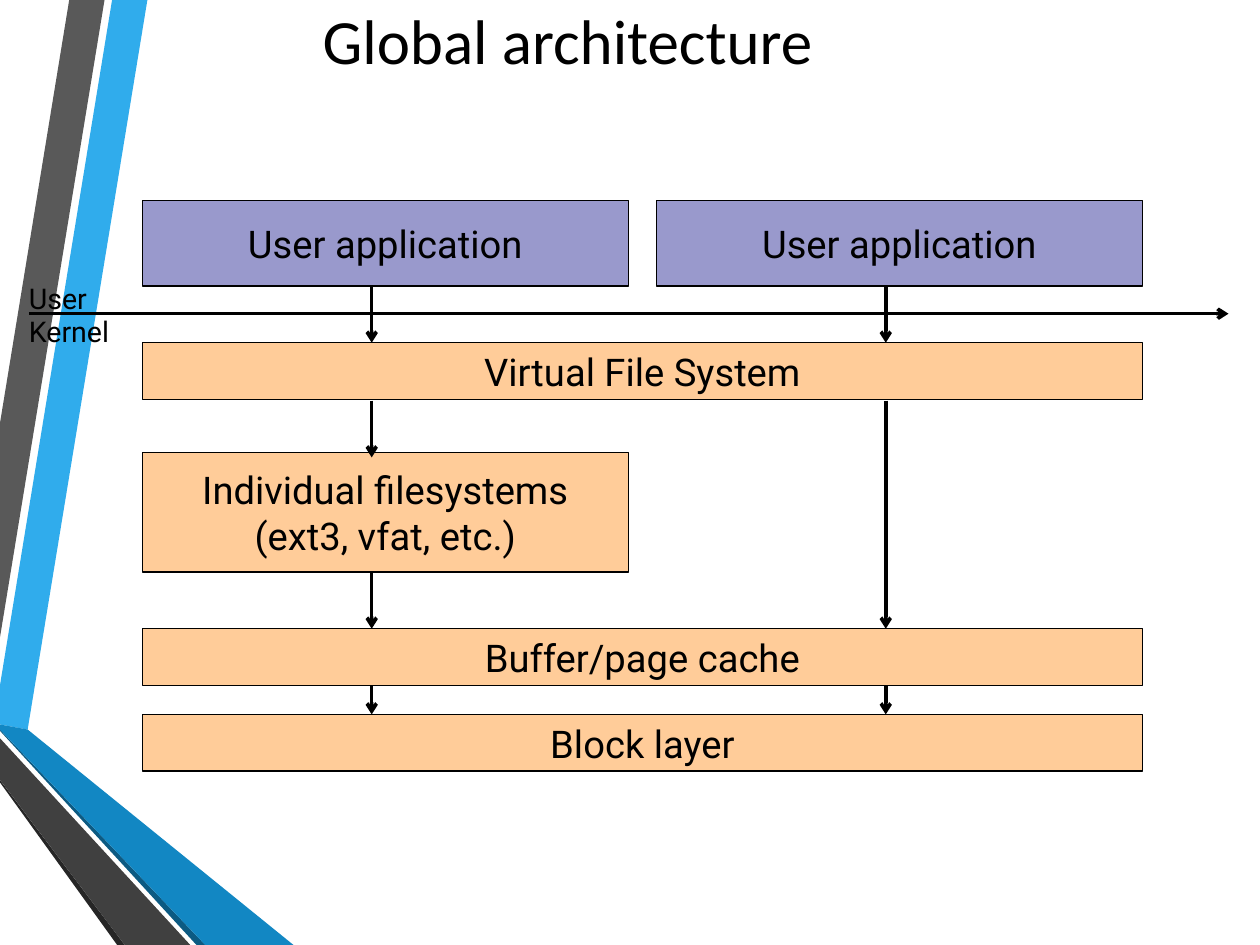
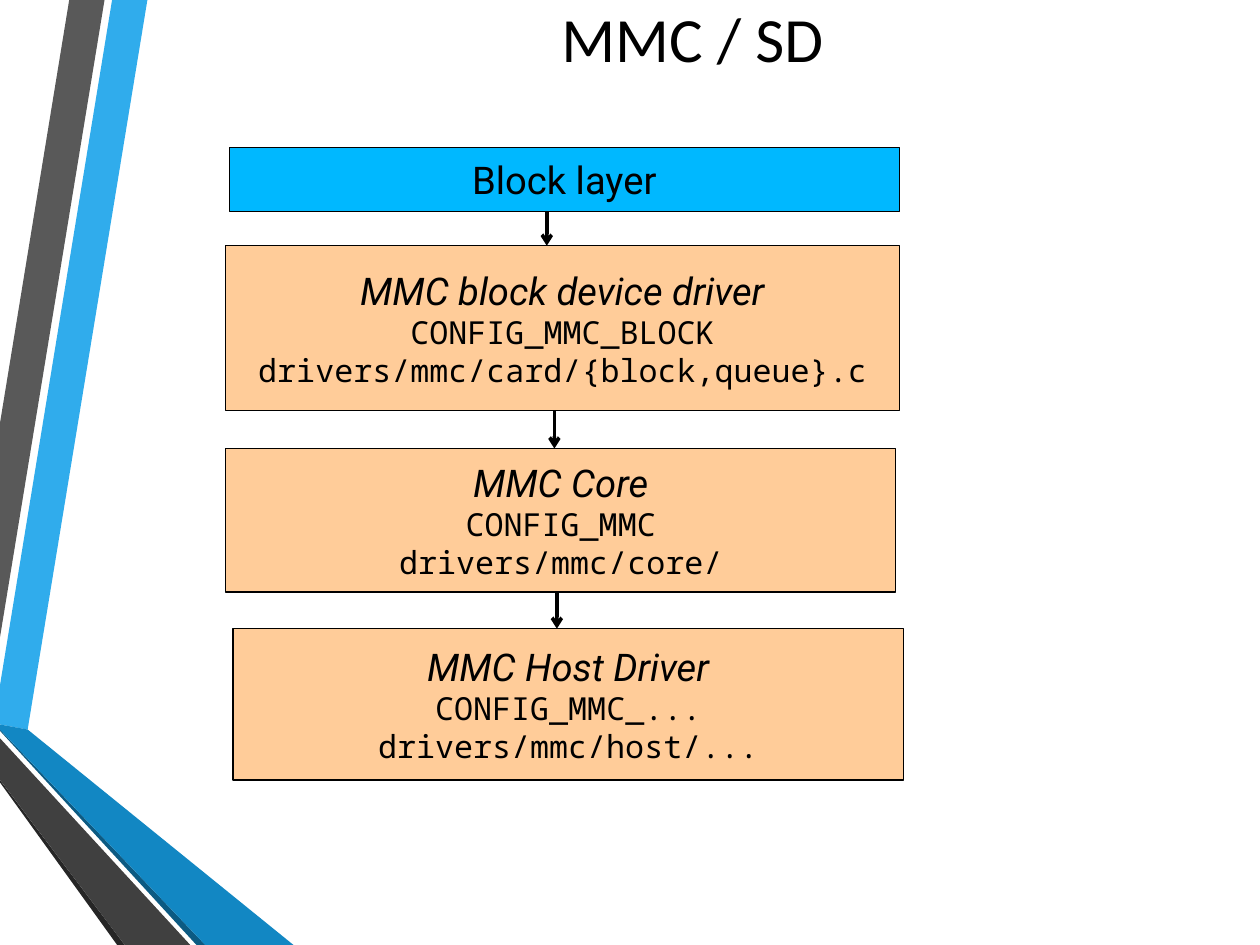
import pptx
import pptx.util
import pptx.dml.color
import pptx.enum.shapes
import pptx.enum.text
import pptx.oxml
import pptx.oxml.ns
from pptx.util import Inches

COLOURS = {
    "text": "000000", "line": "000000", "kernel": "FFCC99", "user": "9999CC", "block": "00B8FF",
    "sky": "30ACEC", "grey": "595959", "black": "262626",
    "navy": "0C5A82", "blue": "1287C3", "charcoal": "404040",
}
BANDS = [
    ("sky", [(0, 5.44), (0, 5.75), (0.22, 5.79), (1.17, 0), (0.89, 0)]),
    ("grey", [(0.83, 0), (0.55, 0), (0, 3.36), (0, 5.06)]),
    ("black", [(0, 6.19), (0, 6.21), (0.93, 7.5), (0.99, 7.5)]),
    ("navy", [(0, 5.79), (0, 5.8), (1.56, 7.5), (1.63, 7.5)]),
    ("blue", [(0, 5.79), (1.63, 7.5), (2.33, 7.5), (0.22, 5.79), (0, 5.75)]),
    ("charcoal", [(0, 6.19), (0.99, 7.5), (1.51, 7.5), (0, 5.86)]),
]
ALIGN = pptx.enum.text.PP_ALIGN
ANCHOR = pptx.enum.text.MSO_ANCHOR
LABEL = {"font": "Roboto", "size": 21.8}
CODE = {"font": "Noto Sans Mono", "size": 18.1}


def rgb(name):
    return pptx.dml.color.RGBColor.from_string(COLOURS[name])


def write(frame, text, font="Roboto", size=21.8, italic=False, align=ALIGN.CENTER):
    para = frame.paragraphs[0]
    if para.runs:
        para = frame.add_paragraph()
    para.alignment = align
    span = para.add_run()
    span.text = text
    span.font.name = font
    span.font.size = pptx.util.Pt(size)
    span.font.italic = italic
    span.font.color.rgb = rgb("text")


def clear_margins(frame):
    frame.margin_left = frame.margin_top = frame.margin_right = frame.margin_bottom = 0
    frame.word_wrap = True


def hairline(line):
    line.color.rgb = rgb("line")
    line.width = 0


def add_block(page, box, colour, lines):
    block = page.shapes.add_shape(
        pptx.enum.shapes.MSO_SHAPE.RECTANGLE, *map(Inches, box))
    block.shadow.inherit = False
    block.fill.solid()
    block.fill.fore_color.rgb = rgb(colour)
    hairline(block.line)
    frame = block.text_frame
    clear_margins(frame)
    frame.vertical_anchor = ANCHOR.MIDDLE
    for text, style in lines:
        write(frame, text, **style)


def add_arrow(page, start, end):
    arrow = page.shapes.add_connector(
        pptx.enum.shapes.MSO_CONNECTOR.STRAIGHT, *map(Inches, start + end))
    hairline(arrow.line)
    space = pptx.oxml.ns.nsdecls("a")
    arrow.line._get_or_add_ln().append(
        pptx.oxml.parse_xml(f'<a:tailEnd {space} type="arrow"/>'))
    arrow.element.spPr.append(pptx.oxml.parse_xml(f"<a:effectLst {space}/>"))


def add_label(page, box, text):
    label = page.shapes.add_textbox(*map(Inches, box))
    clear_margins(label.text_frame)
    write(label.text_frame, text, size=16.3, align=ALIGN.LEFT)


def add_bands(page):
    layout = page.slide_layout
    for holder in list(layout.placeholders):
        if holder.placeholder_format.idx != 0:
            layout.shapes.element.remove(holder.element)
    for colour, points in BANDS:
        corners = [(Inches(x), Inches(y)) for x, y in points]
        builder = page.shapes.build_freeform(*corners[0])
        builder.add_line_segments(corners[1:], close=True)
        band = builder.convert_to_shape()
        band.shadow.inherit = False
        band.fill.solid()
        band.fill.fore_color.rgb = rgb(colour)
        band.line.fill.background()
        layout.shapes.element.append(band.element)


def add_page(deck, title, box):
    page = deck.slides.add_slide(deck.slide_layouts[5])
    holder = page.shapes.title
    holder.left, holder.top, holder.width, holder.height = map(Inches, box)
    frame = holder.text_frame
    frame.auto_size = pptx.enum.text.MSO_AUTO_SIZE.NONE
    frame.vertical_anchor = ANCHOR.MIDDLE
    write(frame, title, font="Calibri", size=36)
    return page


def draw_architecture(page, box):
    left, top, width, height = box
    half, thin = 3.86, 0.45
    right = width - half
    layers = [
        (0, 1.13, width, thin, "kernel", ["Virtual File System"]),
        (0, 2, half, 0.95, "kernel", ["Individual filesystems", "(ext3, vfat, etc.)"]),
        (0, 3.4, width, thin, "kernel", ["Buffer/page cache"]),
        (0, height - thin, width, thin, "kernel", ["Block layer"]),
        (0, 0, half, 0.68, "user", ["User application"]),
        (right, 0, half, 0.68, "user", ["User application"]),
    ]
    for x, y, wide, high, colour, texts in layers:
        add_block(page, (left + x, top + y, wide, high), colour,
                  [(text, LABEL) for text in texts])

    border = top + 0.9
    add_arrow(page, (left - 0.9, border), (left + width + 0.68, border))
    add_label(page, (left - 0.9, border, 2.04, 0.28), "Kernel")
    add_label(page, (left - 0.9, border - 0.26, 2.04, 0.28), "User")

    calls = {
        1.82: [(0.68, 1.13), (1.59, 2.04), (2.95, 3.4), (3.85, 4.08)],
        5.9: [(0.68, 1.13), (1.59, 3.4), (3.85, 4.08)],
    }
    for x, steps in calls.items():
        for start, end in steps:
            add_arrow(page, (left + x, top + start), (left + x, top + end))


def draw_driver_stack(page, box):
    left, top, width = box
    stack = [
        (0.03, 0, width, 0.51, "block", ["Block layer"]),
        (0, 0.78, width + 0.03, 1.31, "kernel",
         ["MMC block device driver", "CONFIG_MMC_BLOCK", "drivers/mmc/card/{block,queue}.c"]),
        (0, 2.39, width, 1.14, "kernel", ["MMC Core", "CONFIG_MMC", "drivers/mmc/core/"]),
        (0.06, 3.82, width, 1.2, "kernel",
         ["MMC Host Driver", "CONFIG_MMC_...", "drivers/mmc/host/..."]),
    ]
    for x, y, wide, high, colour, (name, *code) in stack:
        heading = (name, {**LABEL, "italic": bool(code)})
        add_block(page, (left + x, top + y, wide, high), colour,
                  [heading] + [(text, CODE) for text in code])
    for x, upper, lower in zip((2.55, 2.61, 2.63), stack, stack[1:]):
        add_arrow(page, (left + x, top + upper[1] + upper[3]), (left + x, top + lower[1]))


def main():
    deck = pptx.Presentation()
    deck.slide_width, deck.slide_height = Inches(10), Inches(7.5)
    page = add_page(deck, "Global architecture", (0, 0, 9.01, 0.62))
    add_bands(page)
    draw_architecture(page, (1.13, 1.59, 7.94, 4.53))
    page = add_page(deck, "MMC / SD", (0.99, 0, 9.01, 0.59))
    draw_driver_stack(page, (1.79, 1.17, 5.32))
    deck.save("out.pptx")


if __name__ == "__main__":
    main()
